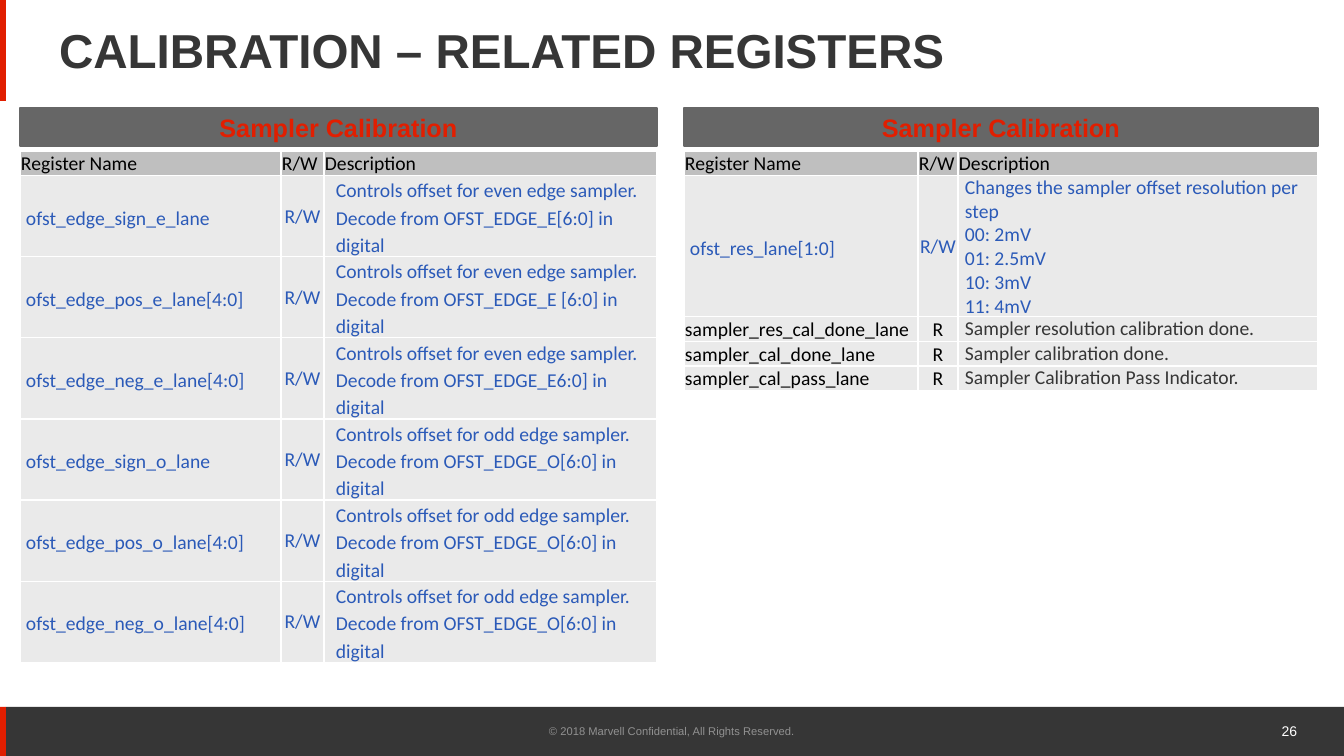
from lxml import etree
from pptx import Presentation
from pptx.dml.color import RGBColor
from pptx.enum.shapes import MSO_SHAPE
from pptx.enum.text import MSO_ANCHOR, MSO_AUTO_SIZE, PP_ALIGN
from pptx.oxml.ns import qn
from pptx.util import Pt

RECTANGLE = MSO_SHAPE.RECTANGLE
MIDDLE = MSO_ANCHOR.MIDDLE
NO_AUTOFIT = MSO_AUTO_SIZE.NONE
LEFT, CENTER, RIGHT = PP_ALIGN.LEFT, PP_ALIGN.CENTER, PP_ALIGN.RIGHT

SLIDE_WIDTH, SLIDE_HEIGHT = 1344, 756
EMU_PER_PX = 12192000 / SLIDE_WIDTH
DARK, RED, GREY, WHITE, BLACK, BLUE = "363636", "E11E00", "666666", "FFFFFF", "000000", "2B5AB8"
HEADER_FILL, BODY_FILL, FOOTER_GREY = "BFBFBF", "EAEAEA", "919191"
ROW_HEIGHT = 22
COLUMN_TITLES = ("Register Name", "R/W", "Description")

OFFSET_REGISTERS = [
    (f"ofst_edge_{field}_{lane}_lane{bits}", "R/W",
     f"Controls offset for {parity} edge sampler. Decode from {source} in digital")
    for lane, parity, sources in (
        ("e", "even", ("OFST_EDGE_E[6:0]", "OFST_EDGE_E [6:0]", "OFST_EDGE_E6:0]")),
        ("o", "odd", ("OFST_EDGE_O[6:0]",) * 3),
    )
    for (field, bits), source in zip((("sign", ""), ("pos", "[4:0]"), ("neg", "[4:0]")), sources)
]
RESOLUTION_REGISTERS = [
    ("ofst_res_lane[1:0]", "R/W",
     "Changes the sampler offset resolution per step\n00: 2mV\n01: 2.5mV\n10: 3mV\n11: 4mV"),
    ("sampler_res_cal_done_lane", "R", "Sampler resolution calibration done."),
    ("sampler_cal_done_lane", "R", "Sampler calibration done."),
    ("sampler_cal_pass_lane", "R", "Sampler Calibration Pass Indicator."),
]


def px(length):
    return round(length * EMU_PER_PX)


def color(value):
    return RGBColor.from_string(value)


class RegisterSlide:
    """Draws the elements of a register slide in one shared style."""

    def __init__(self, presentation):
        self.slide = presentation.slides.add_slide(presentation.slide_layouts[5])
        self.heading_font = "Arial"
        self.table_font = "Calibri"

    def set_text(self, frame, text, size, font_name, fill, alignment=LEFT, bold=False,
                 line_spacing=None, indent=0):
        frame.word_wrap = True
        frame.text = text
        for paragraph in frame.paragraphs:
            paragraph.alignment = alignment
            if line_spacing:
                paragraph.line_spacing = line_spacing
            if indent:
                paragraph._p.get_or_add_pPr().set("marL", str(px(indent)))
            font = paragraph.font
            font.size, font.name, font.bold = Pt(size), font_name, bold
            font.color.rgb = color(fill)

    def title(self, text, left, top, width, height):
        title = self.slide.shapes.title
        title.left, title.top, title.width, title.height = map(px, (left, top, width, height))
        frame = title.text_frame
        frame.auto_size = NO_AUTOFIT
        frame.vertical_anchor = MIDDLE
        self.set_text(frame, text, 34, self.heading_font, DARK, bold=True, line_spacing=0.9)

    def bar(self, left, top, width, height, fill):
        shape = self.slide.shapes.add_shape(RECTANGLE, *map(px, (left, top, width, height)))
        shape.shadow.inherit = False
        shape.fill.solid()
        shape.fill.fore_color.rgb = color(fill)
        shape.line.fill.background()
        return shape

    def banner(self, text, left, top, width, height):
        shape = self.bar(left, top, width, height, GREY)
        shape.line.color.rgb = color(GREY)
        shape.line.width = Pt(1)
        frame = shape.text_frame
        frame.vertical_anchor = MIDDLE
        self.set_text(frame, text, 18, self.heading_font, RED, CENTER, bold=True)

    def label(self, text, left, top, width, height, size, fill, alignment):
        frame = self.slide.shapes.add_textbox(*map(px, (left, top, width, height))).text_frame
        frame.vertical_anchor = MIDDLE
        self.set_text(frame, text, size, self.heading_font, fill, alignment)

    def cell(self, cell, text, fill, font_fill, margin=1, **style):
        cell.fill.solid()
        cell.fill.fore_color.rgb = color(fill)
        cell.vertical_anchor = MIDDLE
        cell.margin_left = cell.margin_right = px(margin)
        cell.margin_top = px(1 if margin == 1 else 0)
        cell.margin_bottom = 0
        self.set_text(cell.text_frame, text, 14, self.table_font, font_fill, **style)
        properties = cell._tc.get_or_add_tcPr()
        for position, side in enumerate(("lnL", "lnR", "lnT", "lnB")):
            border = etree.Element(qn(f"a:{side}"), w=str(Pt(1)))
            solid = etree.SubElement(border, qn("a:solidFill"))
            etree.SubElement(solid, qn("a:srgbClr"), val=WHITE)
            properties.insert(position, border)

    def table(self, registers, left, top, column_widths):
        row_count = len(registers) + 1
        table = self.slide.shapes.add_table(
            row_count, len(column_widths), px(left), px(top),
            px(sum(column_widths)), px(ROW_HEIGHT * row_count)).table
        table.first_row = table.horz_banding = False
        for column, width in zip(table.columns, column_widths):
            column.width = px(width)
        for row in table.rows:
            row.height = px(ROW_HEIGHT)
        for column, text in enumerate(COLUMN_TITLES):
            self.cell(table.cell(0, column), text, HEADER_FILL, BLACK)
        for row, (name, access, description) in enumerate(registers, 1):
            writable = access == "R/W"
            spaced = {"line_spacing": 1.15, "indent": 5} if writable else {}
            self.cell(table.cell(row, 0), name, BODY_FILL, BLUE if writable else BLACK, **spaced)
            self.cell(table.cell(row, 1), access, BODY_FILL, BLUE if writable else BLACK,
                      alignment=CENTER)
            self.cell(table.cell(row, 2), description, BODY_FILL, BLUE if writable else DARK,
                      margin=7, **({} if "\n" in description else spaced))


def main():
    presentation = Presentation()
    presentation.slide_width = px(SLIDE_WIDTH)
    presentation.slide_height = px(SLIDE_HEIGHT)
    page = RegisterSlide(presentation)
    page.bar(6, 707, 1338, 49, DARK)
    page.bar(0, 707, 6, 49, RED)
    page.bar(0, 0, 6, 101, RED)
    page.title("CALIBRATION – RELATED REGISTERS", 49, 17, 1159, 73)
    page.label("© 2018 Marvell Confidential, All Rights Reserved.", 445, 711, 454, 40,
               8, FOOTER_GREY, CENTER)
    page.label("26", 1029, 711, 278, 40, 10, WHITE, RIGHT)
    for registers, left, column_widths in (
        (OFFSET_REGISTERS, 20, (261, 43, 333)),
        (RESOLUTION_REGISTERS, 684, (234, 40, 360)),
    ):
        page.banner("Sampler Calibration", left, 108, sum(column_widths), 38)
        page.table(registers, left, 151, column_widths)
    presentation.save("out.pptx")


if __name__ == "__main__":
    main()
